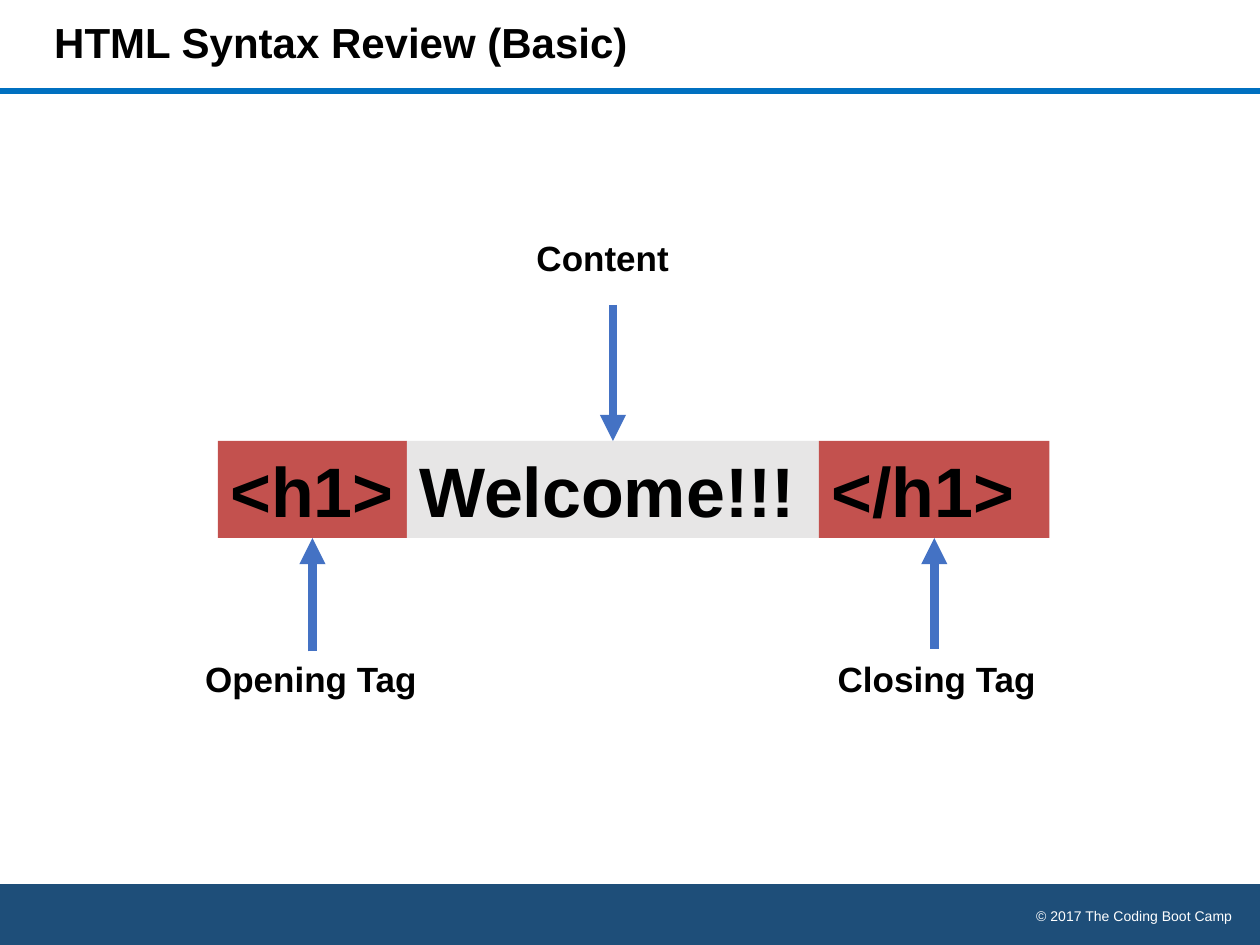
import pptx
import pptx.util
import pptx.dml.color
import pptx.enum.shapes
import pptx.enum.text
import lxml.etree
from pptx.util import Inches

ALIGN = pptx.enum.text.PP_ALIGN
ANCHOR = pptx.enum.text.MSO_ANCHOR
SHAPE = pptx.enum.shapes.MSO_SHAPE
A = "{http://schemas.openxmlformats.org/drawingml/2006/main}"


def color(hex_string):
    return pptx.dml.color.RGBColor.from_string(hex_string)


def write(shape, text, size=20, bold=True, ink="000000", align=ALIGN.LEFT,
          anchor=ANCHOR.TOP, line_spacing=None):
    frame = shape.text_frame
    frame.word_wrap = True
    frame.auto_size = pptx.enum.text.MSO_AUTO_SIZE.NONE
    frame.vertical_anchor = anchor
    frame.text = text
    paragraph = frame.paragraphs[0]
    paragraph.alignment = align
    paragraph.line_spacing = line_spacing
    font = paragraph.runs[0].font
    font.name = "Arial"
    font.size = pptx.util.Pt(size)
    font.bold = bold
    font.color.rgb = color(ink)


deck = pptx.Presentation()
deck.slide_width, deck.slide_height = Inches(10), Inches(7.5)
slide = deck.slides.add_slide(deck.slide_layouts[5])
shapes = slide.shapes

# Footer band and copyright
footer = shapes.add_shape(SHAPE.FLOWCHART_PROCESS, 0, Inches(7.02), Inches(10.01), Inches(0.5))
footer.shadow.inherit = False
footer.fill.solid()
footer.fill.fore_color.rgb = color("1E4E79")
footer.line.fill.background()
copyright_note = shapes.add_textbox(Inches(6.83), Inches(7.15), Inches(3.05), Inches(0.24))
write(copyright_note, "© 2017 The Coding Boot Camp", size=8, bold=False, ink="FFFFFF", align=ALIGN.RIGHT)

# Title and the rule under it
title = shapes.title
title.left, title.top, title.width, title.height = Inches(0.33), 0, Inches(7.5), Inches(0.72)
write(title, "HTML Syntax Review (Basic)", size=24, anchor=ANCHOR.MIDDLE, line_spacing=0.9)
title_rule = shapes.add_connector(
    pptx.enum.shapes.MSO_CONNECTOR.STRAIGHT, 0, Inches(0.72), Inches(10), Inches(0.72))
title_rule.line.color.rgb = color("0070C0")
title_rule.line.width = pptx.util.Pt(3.25)
lxml.etree.SubElement(title_rule.line._get_or_add_ln().getparent(), A + "effectLst")

# Element parts side by side, each with its label and an arrow from the label
# code, width, fill, label, label left, label top, label width, arrow start, side joined
parts = [
    ("<h1>", 1.5, "C3514E", "Opening Tag", 1.53, 5.17, 1.9, 5.17, 2),
    ("Welcome!!!", 3.27, "E7E6E6", "Content", 4.16, 1.83, 1.34, 2.42, 0),
    ("</h1>", 1.83, "C3514E", "Closing Tag", 6.55, 5.17, 1.79, 5.15, 2),
]
part_left = 1.73
for code, width, fill, label, label_left, label_top, label_width, arrow_start, side in parts:
    part = shapes.add_shape(SHAPE.RECTANGLE, Inches(part_left), Inches(3.5), Inches(width), Inches(0.77))
    part.shadow.inherit = False
    part.fill.solid()
    part.fill.fore_color.rgb = color(fill)
    part.line.fill.background()
    write(part, code, size=40)

    caption = shapes.add_textbox(
        Inches(label_left), Inches(label_top), Inches(label_width), Inches(0.44))
    write(caption, label)

    middle = part.left + part.width // 2
    arrow = shapes.add_connector(
        pptx.enum.shapes.MSO_CONNECTOR.STRAIGHT, middle, Inches(arrow_start), middle, part.top)
    arrow.end_connect(part, side)
    arrow.line.color.rgb = color("4472C4")
    arrow.line.width = pptx.util.Pt(5)
    outline = arrow.line._get_or_add_ln()
    lxml.etree.SubElement(outline, A + "tailEnd", type="triangle")
    lxml.etree.SubElement(outline.getparent(), A + "effectLst")
    part_left += width

deck.save("out.pptx")
